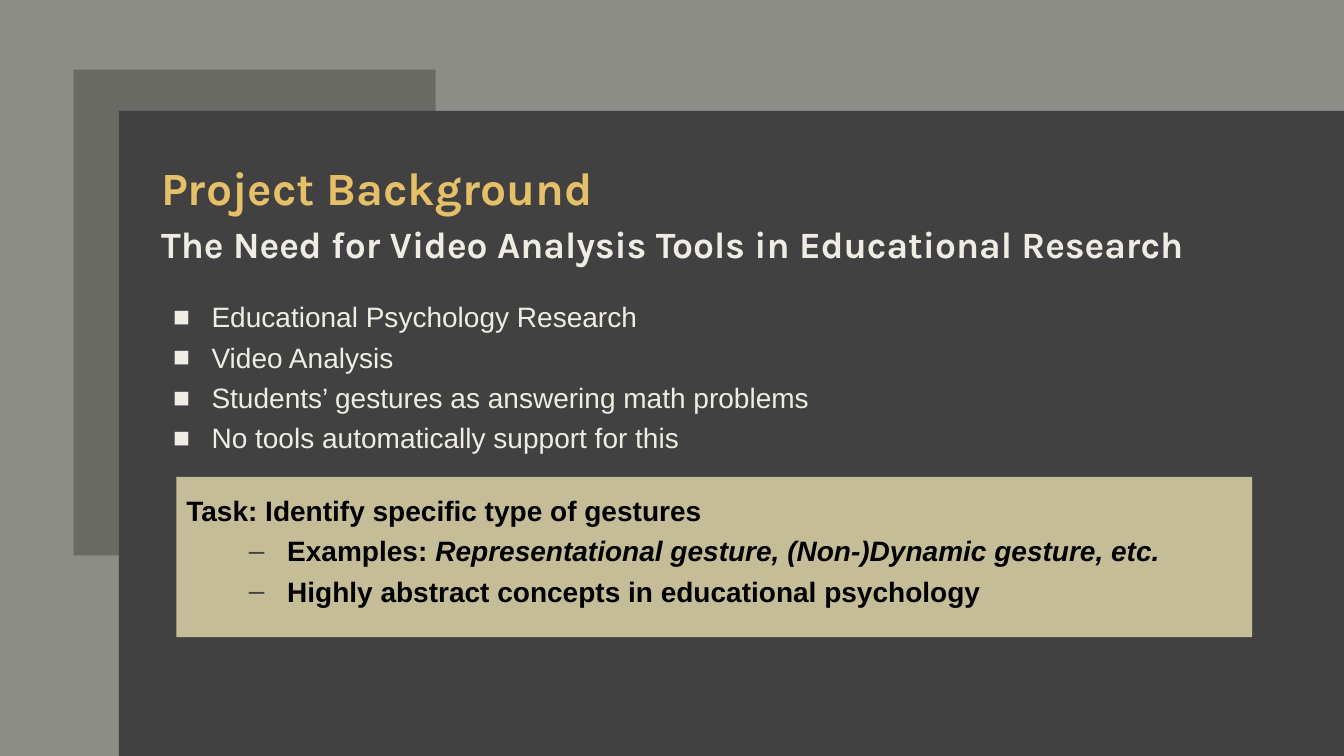
from lxml import etree
from pptx import Presentation
from pptx.dml.color import RGBColor
from pptx.enum.shapes import MSO_SHAPE
from pptx.enum.text import MSO_ANCHOR, PP_ALIGN
from pptx.oxml.ns import qn
from pptx.util import Inches, Pt

CHARCOAL = RGBColor(0x41, 0x41, 0x41)
GRAY = RGBColor(0x8C, 0x8D, 0x86)
DARK_GRAY = RGBColor(0x69, 0x6A, 0x64)
GOLD = RGBColor(0xE6, 0xC0, 0x69)
CREAM = RGBColor(0xEF, 0xED, 0xE3)
TAN = RGBColor(0xC4, 0xBD, 0x98)
BLACK = RGBColor(0x00, 0x00, 0x00)

RESEARCH_POINTS = [
    "Educational Psychology Research",
    "Video Analysis",
    "Students’ gestures as answering math problems",
    "No tools automatically support for this",
]


def paint(shape, color):
    shape.shadow.inherit = False
    shape.fill.solid()
    shape.fill.fore_color.rgb = color
    shape.line.fill.background()


def add_rectangle(slide, left, top, width, height, color):
    shape = slide.shapes.add_shape(
        MSO_SHAPE.RECTANGLE, Inches(left), Inches(top), Inches(width), Inches(height))
    paint(shape, color)
    return shape


def add_outline(slide, points, color):
    corners = [(Inches(x), Inches(y)) for x, y in points]
    builder = slide.shapes.build_freeform(*corners[0])
    builder.add_line_segments(corners[1:], close=True)
    paint(builder.convert_to_shape(), color)


def prepare_frame(shape, anchor, vertical_inset=0.05):
    frame = shape.text_frame
    frame.word_wrap = True
    frame.vertical_anchor = anchor
    frame.margin_left = frame.margin_right = Inches(0.1)
    frame.margin_top = frame.margin_bottom = Inches(vertical_inset)
    return frame


def add_text_frame(slide, left, top, width, height, anchor):
    box = slide.shapes.add_textbox(
        Inches(left), Inches(top), Inches(width), Inches(height))
    return prepare_frame(box, anchor)


def add_paragraph(frame, line_spacing):
    first = frame.paragraphs[0]
    paragraph = frame.add_paragraph() if first.runs else first
    paragraph.alignment = PP_ALIGN.LEFT
    paragraph.line_spacing = line_spacing
    return paragraph


def add_run(paragraph, text, font, size, color, bold=False, italic=False):
    run = paragraph.add_run()
    run.text = text
    run.font.name = font
    run.font.size = Pt(size)
    run.font.color.rgb = color
    run.font.bold = bold
    run.font.italic = italic


def set_bullet(paragraph, character, color, indent):
    properties = paragraph._p.get_or_add_pPr()
    properties.set("marL", str(Inches(indent)))
    properties.set("indent", str(Inches(-0.38)))
    bullet_color = etree.SubElement(properties, qn("a:buClr"))
    etree.SubElement(bullet_color, qn("a:srgbClr"), val=str(color))
    etree.SubElement(properties, qn("a:buFont"), typeface="Arial")
    etree.SubElement(properties, qn("a:buChar"), char=character)


def add_title(slide):
    frame = add_text_frame(slide, 1.5, 1.4, 11.38, 1.33, MSO_ANCHOR.MIDDLE)
    for text, size, color in [
        ("Project Background", 33, GOLD),
        ("The Need for Video Analysis Tools in Educational Research", 26.5, CREAM),
    ]:
        add_run(add_paragraph(frame, 1.15), text, "Karla", size, color, bold=True)


def add_research_points(slide):
    frame = add_text_frame(slide, 1.5, 2.86, 10.5, 1.75, MSO_ANCHOR.TOP)
    for text in RESEARCH_POINTS:
        paragraph = add_paragraph(frame, 1.2)
        set_bullet(paragraph, "■", CREAM, 0.5)
        add_run(paragraph, text, "Arial", 20, CREAM)


def add_task(slide):
    box = add_rectangle(slide, 1.75, 4.73, 10.67, 1.59, TAN)
    frame = prepare_frame(box, MSO_ANCHOR.TOP, 0.1)
    heading = add_paragraph(frame, 1.2)
    add_run(heading, "Task: Identify specific type of gestures", "Arial", 20, BLACK, bold=True)
    # Each detail is a list of (text, italic) pieces
    for pieces in [
        [("Examples: ", False),
         ("Representational gesture, (Non-)Dynamic gesture, etc.", True)],
        [("Highly abstract concepts in educational psychology", False)],
    ]:
        paragraph = add_paragraph(frame, 1.2)
        paragraph.level = 1
        set_bullet(paragraph, "–", CHARCOAL, 1)
        for text, italic in pieces:
            add_run(paragraph, text, "Arial", 20, BLACK, bold=True, italic=italic)


def main():
    presentation = Presentation()
    presentation.slide_width = Inches(13.33)
    presentation.slide_height = Inches(7.5)
    slide = presentation.slides.add_slide(presentation.slide_layouts[6])
    slide.background.fill.solid()
    slide.background.fill.fore_color.rgb = CHARCOAL

    # Backdrop, corner bracket and main panel
    add_rectangle(slide, 0, 0, 13.33, 7.5, GRAY)
    add_outline(slide, [(0.73, 0.69), (4.32, 0.69), (4.32, 1.11),
                        (1.18, 1.11), (1.18, 5.51), (0.73, 5.51)], DARK_GRAY)
    add_rectangle(slide, 1.18, 1.1, 12.15, 6.4, CHARCOAL)

    # Text
    add_title(slide)
    add_research_points(slide)
    add_task(slide)

    presentation.save("out.pptx")


if __name__ == "__main__":
    main()
